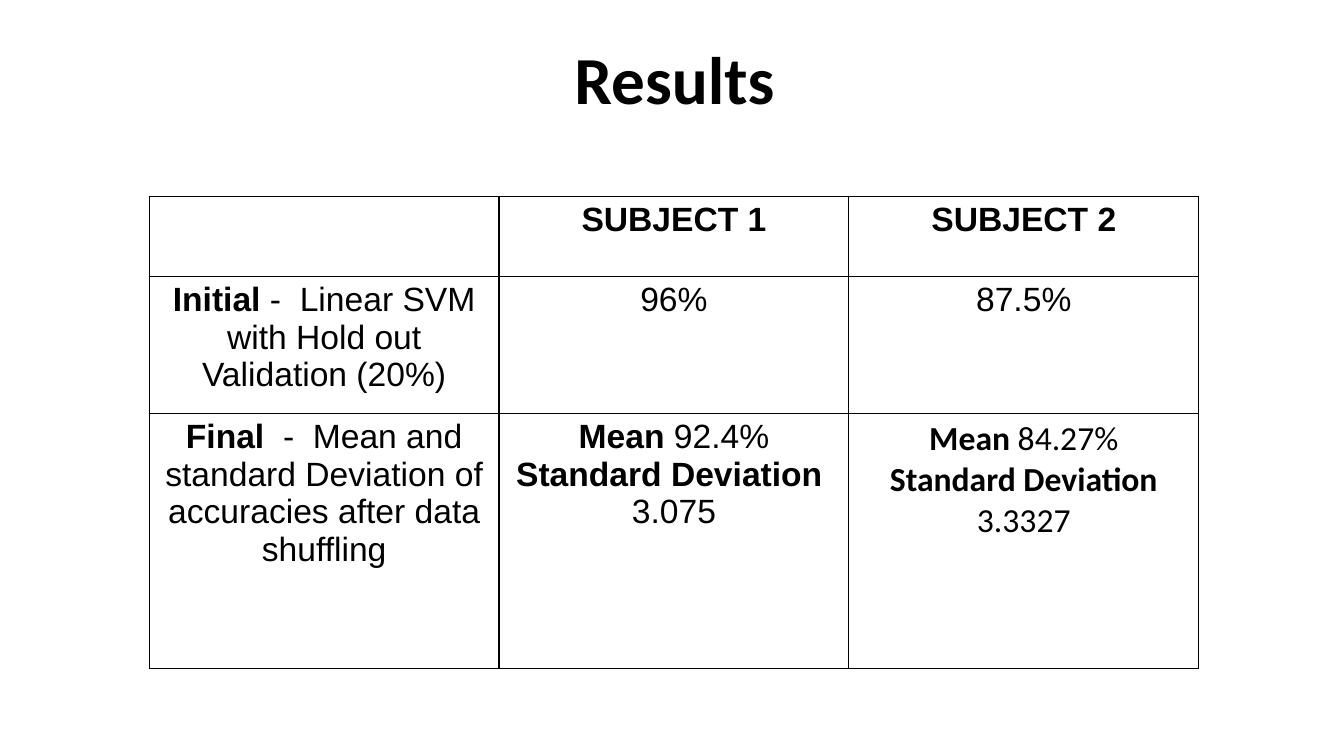
from dataclasses import dataclass

from lxml import etree
from pptx import Presentation
from pptx.dml.color import RGBColor
from pptx.enum.text import PP_ALIGN
from pptx.oxml.ns import qn
from pptx.util import Emu, Pt

CENTER = PP_ALIGN.CENTER
EMU_PER_PX = 9144
BLACK = "000000"
BORDER_SIDES = ("a:lnL", "a:lnR", "a:lnT", "a:lnB")
COL_WIDTHS = (347, 347, 347)
ROW_HEIGHTS = (79, 136, 253)


@dataclass(frozen=True)
class Span:
    text: str
    bold: bool = False


@dataclass(frozen=True)
class Block:
    lines: tuple[tuple[Span, ...], ...] = ()
    font: str = "Arial"
    size: int = 24


TITLE = Block(((Span("Results", True),),), "Calibri", 48)
RESULTS = (
    (
        Block(),
        Block(((Span("SUBJECT 1", True),),)),
        Block(((Span("SUBJECT 2", True),),)),
    ),
    (
        Block(((Span("Initial", True),
                Span(" -  Linear SVM with Hold out Validation (20%)")),)),
        Block(((Span("96%"),),)),
        Block(((Span("87.5%"),),)),
    ),
    (
        Block(((Span("Final ", True),
                Span(" -  Mean and standard Deviation of accuracies after data shuffling")),)),
        Block(((Span("Mean", True), Span(" 92.4%")),
               (Span("Standard Deviation ", True),),
               (Span("3.075"),))),
        Block(((Span("Mean ", True), Span("84.27%")),
               (Span("Standard Deviation", True),),
               (Span("3.3327"),)), "Calibri"),
    ),
)


def px(n: int) -> Emu:
    return Emu(n * EMU_PER_PX)


def color(value: str) -> RGBColor:
    return RGBColor.from_string(value)


def write(tf, block: Block) -> None:
    for i, line in enumerate(block.lines):
        p = tf.add_paragraph() if i else tf.paragraphs[0]
        p.alignment = CENTER
        for span in line:
            r = p.add_run()
            r.text = span.text
            r.font.name = block.font
            r.font.size = Pt(block.size)
            r.font.bold = span.bold
            r.font.color.rgb = color(BLACK)


def add_borders(cell) -> None:
    tc_pr = cell._tc.get_or_add_tcPr()
    for i, side in enumerate(BORDER_SIDES):
        ln = etree.Element(qn(side), w=str(Pt(1)))
        fill = etree.SubElement(ln, qn("a:solidFill"))
        etree.SubElement(fill, qn("a:srgbClr"), val=BLACK)
        tc_pr.insert(i, ln)


def add_title(s) -> None:
    sp = s.shapes.add_textbox(px(559), px(32), px(220), px(91))
    tf = sp.text_frame
    tf.word_wrap = True
    write(tf, TITLE)


def add_results(s) -> None:
    frame = s.shapes.add_table(
        len(ROW_HEIGHTS), len(COL_WIDTHS), px(148), px(195),
        px(sum(COL_WIDTHS)), px(sum(ROW_HEIGHTS)))
    table = frame.table
    table.first_row = False
    table.horz_banding = False
    for col, width in zip(table.columns, COL_WIDTHS):
        col.width = px(width)
    for row, height, blocks in zip(table.rows, ROW_HEIGHTS, RESULTS):
        row.height = px(height)
        for cell, block in zip(row.cells, blocks):
            cell.fill.background()
            add_borders(cell)
            write(cell.text_frame, block)


def main() -> None:
    prs = Presentation()
    prs.slide_width, prs.slide_height = px(1333), px(750)
    s = prs.slides.add_slide(prs.slide_layouts[6])
    add_title(s)
    add_results(s)
    prs.save("out.pptx")


if __name__ == "__main__":
    main()
